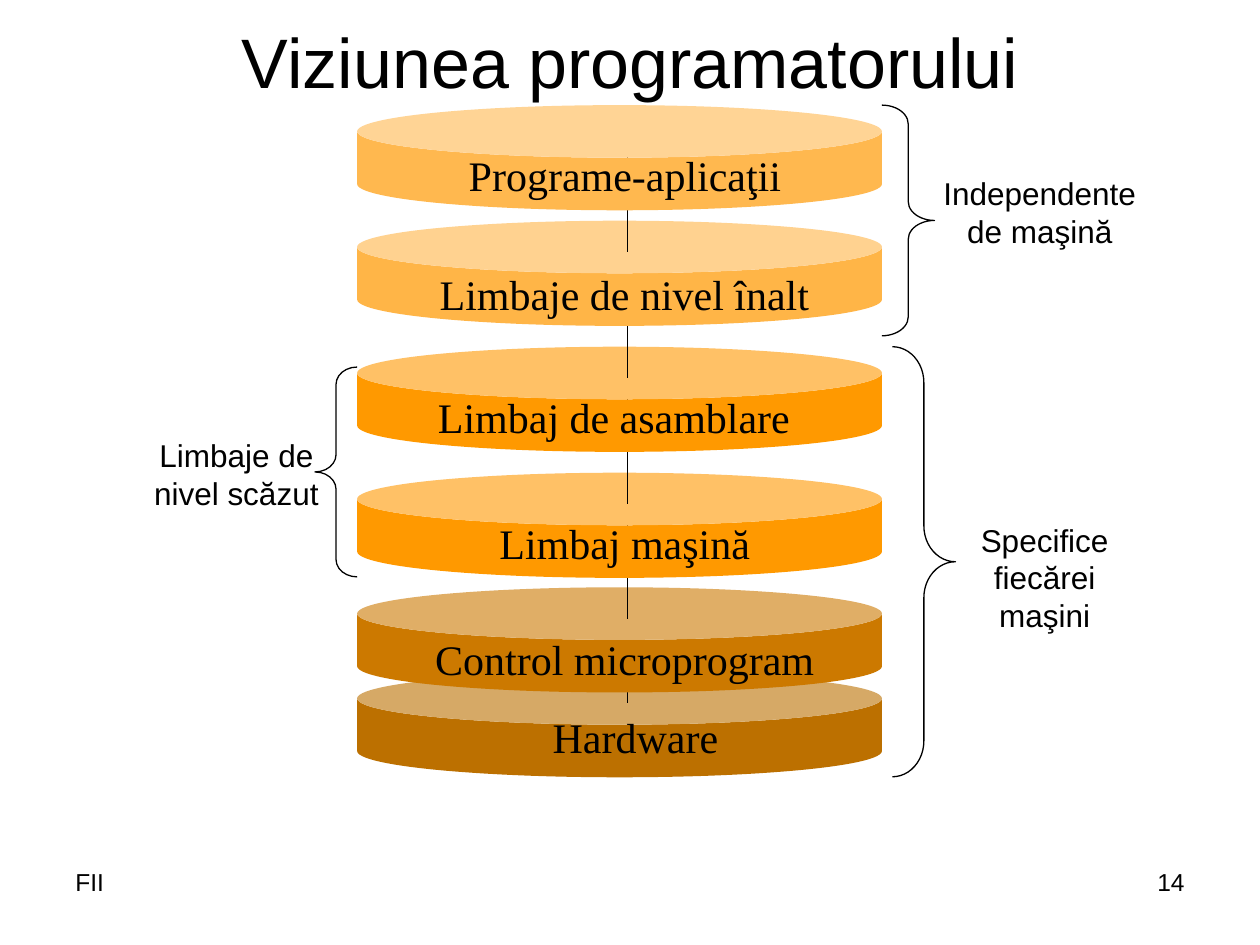
from dataclasses import dataclass

from lxml import etree
from pptx import Presentation
from pptx import util as u
from pptx.dml.color import RGBColor
from pptx.enum import shapes, text
from pptx.oxml.ns import qn


@dataclass(frozen=True)
class Theme:
    ink: str = "000000"
    sans: str = "Arial"
    serif: str = "Times New Roman"
    title_size: int = 40
    layer_size: int = 24
    note_size: int = 18
    footer_size: int = 14
    line_width: float = 0.75
    hardware: str = "BC7000"
    control: str = "CC7900"
    low_level: str = "FF9900"
    high_level: str = "FFB547"
    applications: str = "FFB84F"


THEME = Theme()
CENTER, LEFT, RIGHT = text.PP_ALIGN.CENTER, text.PP_ALIGN.LEFT, text.PP_ALIGN.RIGHT
TOP, MIDDLE = text.MSO_ANCHOR.TOP, text.MSO_ANCHOR.MIDDLE

CAN_LEFT, CAN_WIDTH, CAN_HEIGHT = 7.2, 10.58, 2.12
LINK_X, LINK_DEPTH = 12.65, 0.63

LAYERS = [
    ("Hardware", 13.55, THEME.hardware, 2.12, (9.74, 14.39, 6.14, 0.94)),
    ("Control microprogram", 11.84, THEME.control, 2.12, (7.83, 12.7, 9.53, 1.16)),
    ("Limbaj maşină", 9.53, THEME.low_level, 2.12, (8.68, 10.37, 7.83, 1.16)),
    ("Limbaj de asamblare", 6.99, THEME.low_level, 1.06, (8.04, 7.83, 8.68, 1.16)),
    ("Limbaje de nivel înalt", 4.45, THEME.high_level, 2.12, (8.04, 5.29, 9.1, 1.27)),
    ("Programe-aplicaţii", 2.12, THEME.applications, 0, (8.26, 2.95, 8.68, 1.16)),
]

RIGHT_BRACE = shapes.MSO_SHAPE.RIGHT_BRACE
LEFT_BRACE = shapes.MSO_SHAPE.LEFT_BRACE
BRACES = [
    (RIGHT_BRACE, (17.99, 6.99, 1.27, 8.67), 0.57,
     "Specifice fiecărei maşini", (19.05, 10.37, 4.02, 2.54)),
    (RIGHT_BRACE, (17.78, 2.12, 1.06, 4.65), 0.36,
     "Independente de maşină", (18.63, 3.39, 4.66, 1.78)),
    (LEFT_BRACE, (6.35, 7.4, 0.85, 4.23), 0.41,
     "Limbaje de nivel scăzut", (2.54, 8.67, 4.45, 1.78)),
]


def set_values(target, values):
    for name, value in values.items():
        setattr(target, name, value)


def color(value):
    return RGBColor.from_string(value)


def lengths(box):
    return [u.Cm(value) for value in box]


def style_line(line):
    line.color.rgb = color(THEME.ink)
    line.width = u.Pt(THEME.line_width)


def add_text(slide, words, box, size, font=THEME.sans, align=CENTER, anchor=TOP, wrap=True):
    shape = slide.shapes.add_textbox(*lengths(box))
    set_values(shape.text_frame, {"word_wrap": wrap, "vertical_anchor": anchor})
    paragraph = shape.text_frame.paragraphs[0]
    set_values(paragraph, {"text": words, "alignment": align})
    set_values(paragraph.font, {"name": font, "size": u.Pt(size)})
    paragraph.font.color.rgb = color(THEME.ink)


def add_can(slide, top, fill):
    shape = slide.shapes.add_shape(
        shapes.MSO_SHAPE.CAN, *lengths((CAN_LEFT, top, CAN_WIDTH, CAN_HEIGHT)))
    shape.shadow.inherit = False
    shape.adjustments[0] = 0.5
    shape.fill.solid()
    shape.fill.fore_color.rgb = color(fill)
    shape.line.fill.background()


def add_link(slide, can_top, length):
    end = can_top + LINK_DEPTH
    connector = slide.shapes.add_connector(
        shapes.MSO_CONNECTOR.STRAIGHT, *lengths((LINK_X, end - length, LINK_X, end)))
    style_line(connector.line)
    etree.SubElement(connector._element.spPr, qn("a:effectLst"))


def add_brace(slide, kind, box, curve):
    shape = slide.shapes.add_shape(kind, *lengths(box))
    shape.shadow.inherit = False
    shape.adjustments[0] = curve
    shape.fill.background()
    style_line(shape.line)


def main():
    presentation = Presentation()
    set_values(presentation, {"slide_width": u.Cm(25.4), "slide_height": u.Cm(19.05)})
    slide = presentation.slides.add_slide(presentation.slide_layouts[6])

    for _, top, fill, link, _ in LAYERS:
        add_can(slide, top, fill)
        if link:
            add_link(slide, top, link)
    for words, _, _, _, box in LAYERS:
        add_text(slide, words, box, THEME.layer_size, THEME.serif, anchor=MIDDLE, wrap=False)

    for kind, box, curve, words, note_box in BRACES:
        add_brace(slide, kind, box, curve)
        add_text(slide, words, note_box, THEME.note_size)

    add_text(slide, "Viziunea programatorului", (1.27, 0.33, 22.86, 1.78),
             THEME.title_size, anchor=MIDDLE)
    add_text(slide, "FII", (1.27, 17.35, 5.92, 1.32), THEME.footer_size, align=LEFT)
    add_text(slide, "14", (18.21, 17.35, 5.92, 1.32), THEME.footer_size, align=RIGHT)
    presentation.save("out.pptx")


if __name__ == "__main__":
    main()
